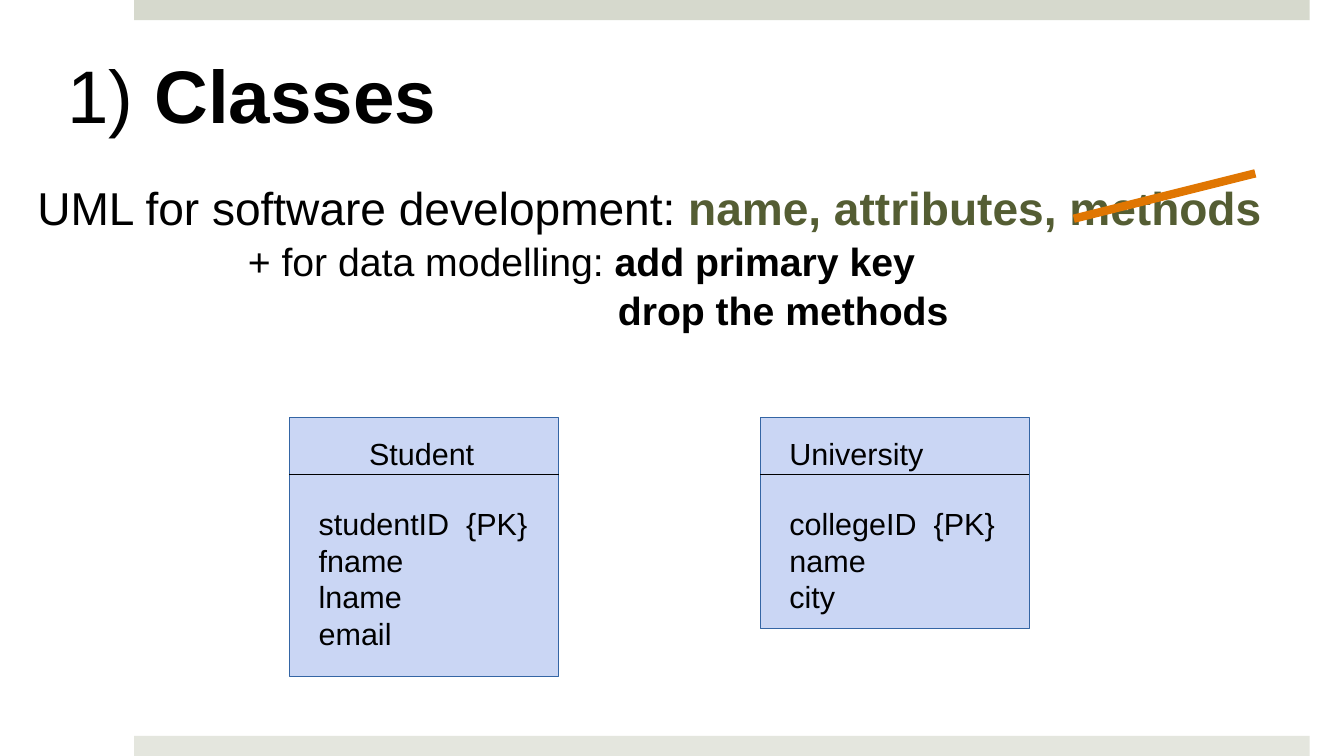
from lxml import etree
from pptx import Presentation
from pptx.dml.color import RGBColor
from pptx.enum.shapes import MSO_CONNECTOR, MSO_SHAPE
from pptx.enum.text import MSO_ANCHOR
from pptx.oxml.ns import qn
from pptx.util import Inches, Pt

STRAIGHT = MSO_CONNECTOR.STRAIGHT
RECTANGLE = MSO_SHAPE.RECTANGLE
MIDDLE, TOP = MSO_ANCHOR.MIDDLE, MSO_ANCHOR.TOP

FONT = "Arial"
COLORS = {
    "text": "000000",
    "olive": "545D33",
    "top_band": "D6D9CD",
    "bottom_band": "E4E6DE",
    "class_fill": "CAD6F4",
    "class_line": "3465A4",
    "strike": "E07602",
}
CLASS_WIDTH = 2.67
CLASS_TOP = 4.14


def rgb(name):
    return RGBColor.from_string(COLORS[name])


def add_rectangle(page, left, top, width, height, fill, line=None):
    box = page.shapes.add_shape(
        RECTANGLE, Inches(left), Inches(top), Inches(width), Inches(height))
    box.shadow.inherit = False
    box.fill.solid()
    box.fill.fore_color.rgb = rgb(fill)
    if line:
        box.line.color.rgb = rgb(line)
        box.line.width = Pt(0.75)
    else:
        box.line.fill.background()


def add_line(page, start, end, color, width):
    line = page.shapes.add_connector(
        STRAIGHT, *(Inches(value) for value in (*start, *end)))
    line.line.color.rgb = rgb(color)
    line.line.width = Pt(width)
    etree.SubElement(line._element.spPr, qn("a:effectLst"))


def add_text(page, left, top, width, height, paragraphs, size,
             insets=(0, 0), anchor=TOP):
    """Each paragraph is a list of (text, bold, color) spans."""
    box = page.shapes.add_textbox(
        Inches(left), Inches(top), Inches(width), Inches(height))
    frame = box.text_frame
    frame.word_wrap = True
    frame.vertical_anchor = anchor
    frame.margin_left = frame.margin_right = Inches(insets[0])
    frame.margin_top = frame.margin_bottom = Inches(insets[1])
    for index, spans in enumerate(paragraphs):
        para = frame.add_paragraph() if index else frame.paragraphs[0]
        for text, bold, color in spans:
            span = para.add_run()
            span.text = text
            span.font.name = FONT
            span.font.size = Pt(size)
            span.font.bold = bold
            span.font.color.rgb = rgb(color)
    return frame


def indent(para, inches):
    properties = para._p.get_or_add_pPr()
    properties.set("marL", str(Inches(inches)))
    properties.set("indent", "0")


def add_bands(page):
    for top, color in ((0, "top_band"), (7.3, "bottom_band")):
        add_rectangle(page, 1.33, top, 11.66, 0.2, color)


def add_title(page):
    add_text(page, 0.67, 0.3, 12, 1.25,
             [[("1) ", False, "text"), ("Classes", True, "text")]],
             53.2, anchor=MIDDLE)


def add_definition(page):
    """Statement of what a class holds, with the methods struck out."""
    statement = add_text(
        page, 0.23, 1.78, 13.1, 0.91,
        [[("UML for software development: ", False, "text"),
          ("name, attributes, methods", True, "olive")]], 32.9)
    indent(statement.paragraphs[0], 0.14)
    changes = add_text(
        page, 2.36, 2.31, 8.29, 1.04,
        [[("+ for data modelling: ", False, "text"),
          ("add primary key", True, "text")],
         [("drop the methods", True, "text")]], 28, (0.1, 0.05))
    indent(changes.paragraphs[1], 3.67)
    changes.paragraphs[1].space_before = Pt(1.4)
    add_line(page, (10.65, 2.17), (12.45, 1.72), "strike", 6)


def add_class(page, left, height, name, name_offset, attributes):
    """UML class box: a name above a divider, attributes below it."""
    add_rectangle(page, left, CLASS_TOP, CLASS_WIDTH, height,
                  "class_fill", "class_line")
    divider = CLASS_TOP + 0.57
    add_line(page, (left, divider), (left + CLASS_WIDTH, divider), "text", 0.75)
    add_text(page, left + name_offset, CLASS_TOP + 0.12, 2, 0.46,
             [[(name, False, "text")]], 21.8, (0.12, 0.06))
    add_text(page, left + 0.17, CLASS_TOP + 0.81, CLASS_WIDTH, height - 1,
             [[(attribute, False, "text")] for attribute in attributes],
             21.8, (0.12, 0.06))


def main():
    deck = Presentation()
    deck.slide_width, deck.slide_height = Inches(13.33), Inches(7.5)
    page = deck.slides.add_slide(deck.slide_layouts[6])
    add_bands(page)
    add_title(page)
    add_definition(page)
    add_class(page, 2.87, 2.57, "Student", 0.67,
              ["studentID  {PK}", "fname", "lname", "email"])
    add_class(page, 7.54, 2.1, "University", 0.17,
              ["collegeID  {PK}", "name", "city"])
    deck.save("out.pptx")


if __name__ == "__main__":
    main()
